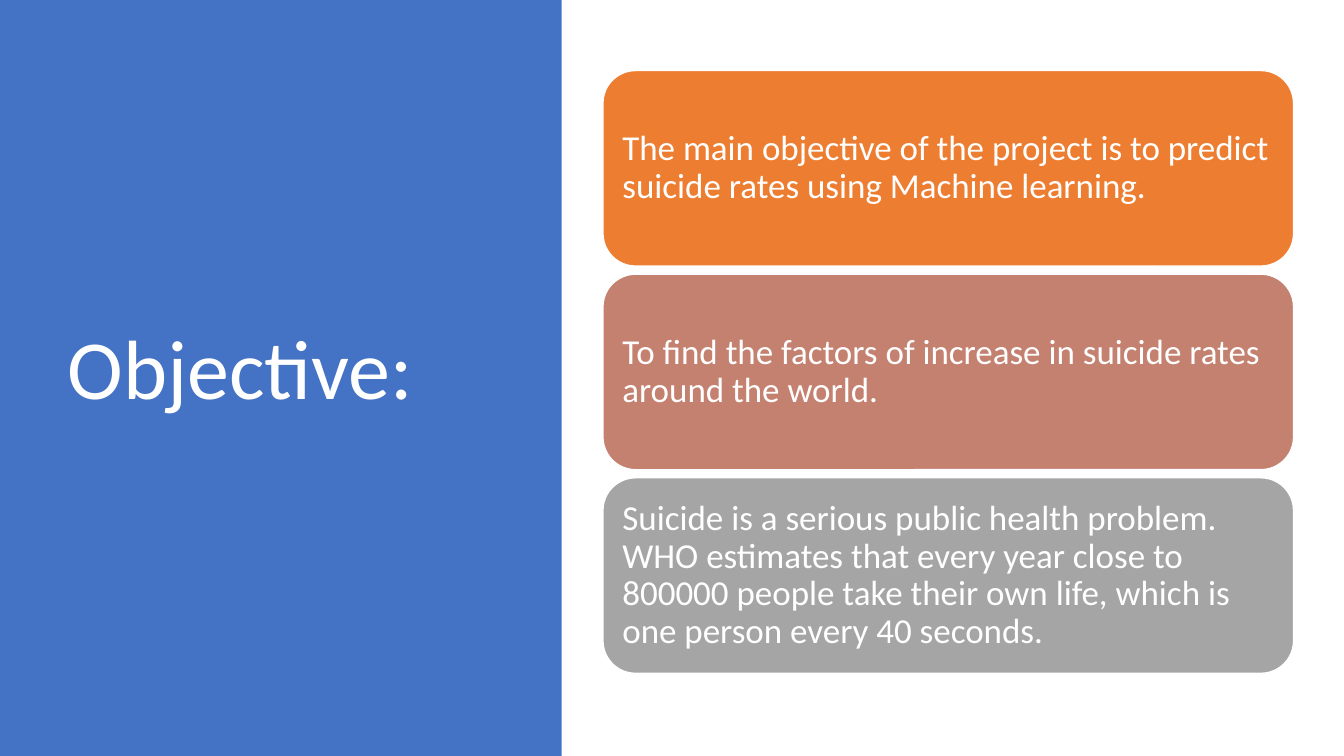
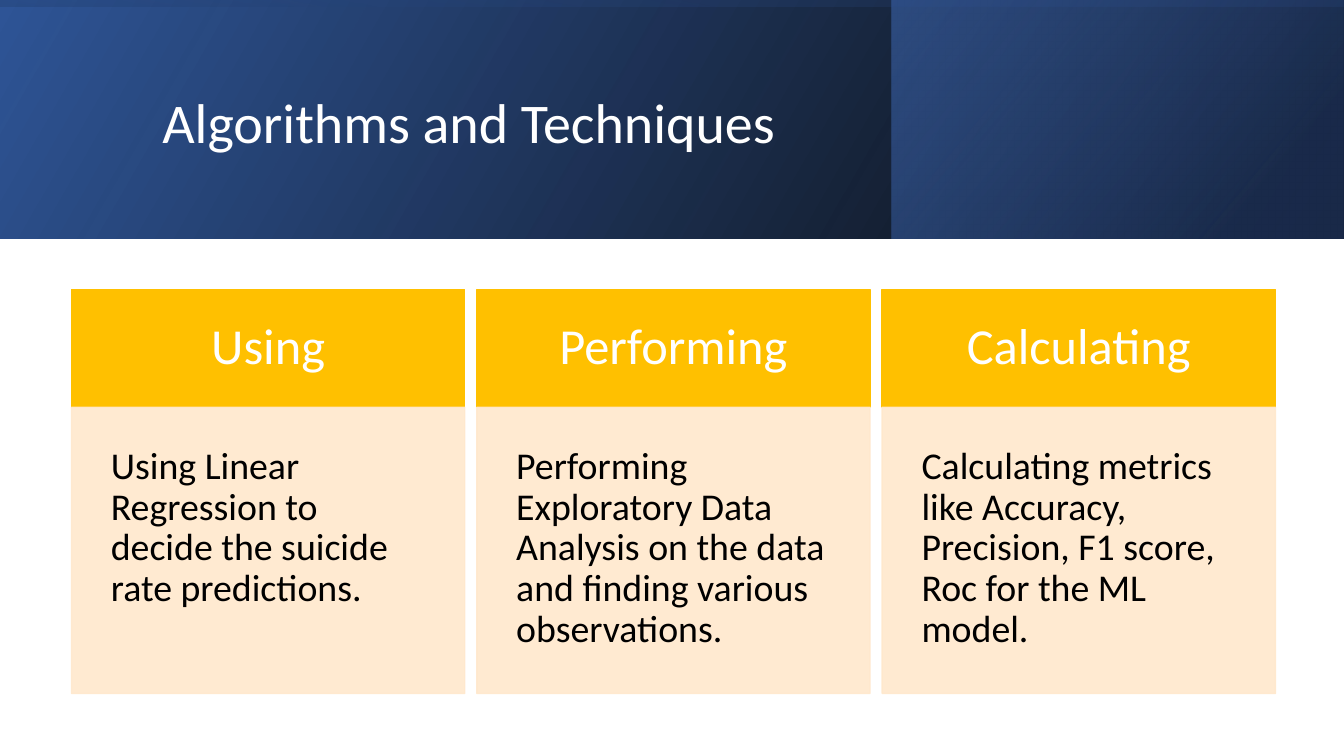
from lxml import etree
from pptx import Presentation
from pptx.dml.color import RGBColor
from pptx.enum.shapes import MSO_SHAPE
from pptx.enum.text import MSO_ANCHOR, MSO_AUTO_SIZE, PP_ALIGN
from pptx.oxml.ns import qn
from pptx.util import Inches, Pt

RECTANGLE, ROUNDED = MSO_SHAPE.RECTANGLE, MSO_SHAPE.ROUNDED_RECTANGLE
LEFT, CENTER = PP_ALIGN.LEFT, PP_ALIGN.CENTER
TOP, MIDDLE = MSO_ANCHOR.TOP, MSO_ANCHOR.MIDDLE
NO_AUTOFIT = MSO_AUTO_SIZE.NONE

# Shared style
FONT = "Calibri"
WHITE, BLACK = "FFFFFF", "000000"
BLUE, DEEP_BLUE, NAVY = "4472C4", "2F5597", "203864"
ORANGE, CLAY, GRAY = "ED7D31", "C48170", "A5A5A5"
GOLD, CREAM = "FFC000", "FFE8CC"
SLIDE_WIDTH, SLIDE_HEIGHT = 13.33, 7.5
BAND_HEIGHT = 2.37
TITLE_ONLY = 5

OBJECTIVES = [
    (ORANGE, "The main objective of the project is to predict suicide rates "
             "using Machine learning."),
    (CLAY, "To find the factors of increase in suicide rates around the world."),
    (GRAY, "Suicide is a serious public health problem. WHO estimates that "
           "every year close to 800000 people take their own life, which is "
           "one person every 40 seconds."),
]
TECHNIQUES = [
    ("Using", "Using Linear Regression to decide the suicide rate predictions."),
    ("Performing", "Performing Exploratory Data Analysis on the data and "
                   "finding various observations."),
    ("Calculating", "Calculating metrics like Accuracy, Precision, F1 score, "
                    "Roc for the ML model."),
]


def color(value):
    return RGBColor.from_string(value)


def write_text(shape, text, size, text_color, align=LEFT, anchor=MIDDLE, inset=0.1):
    frame = shape.text_frame
    frame.word_wrap = True
    frame.auto_size = NO_AUTOFIT
    frame.vertical_anchor = anchor
    frame.margin_left = frame.margin_right = Inches(inset)
    frame.margin_top = frame.margin_bottom = Inches(inset)
    paragraph = frame.paragraphs[0]
    paragraph.alignment = align
    paragraph.line_spacing = 0.9
    run = paragraph.add_run()
    run.text = text
    run.font.name = FONT
    run.font.size = Pt(size)
    run.font.color.rgb = color(text_color)


def add_box(slide, kind, box, fill, line=None):
    shape = slide.shapes.add_shape(kind, *map(Inches, box))
    shape.shadow.inherit = False
    shape.fill.solid()
    shape.fill.fore_color.rgb = color(fill)
    if line:
        shape.line.color.rgb = color(line)
        shape.line.width = Pt(1)
    else:
        shape.line.fill.background()
    return shape


def set_opacity(shape, percent):
    """Apply one opacity to both the fill and the outline."""
    for node in shape._element.spPr.iter(qn("a:srgbClr")):
        etree.SubElement(node, qn("a:alpha"), val=str(percent * 1000))


def add_gradient_layer(slide, box, stops, angle, rotation=0):
    """Add a mirrored rectangle; each stop is position, colour, opacity."""
    shape = add_box(slide, RECTANGLE, box, stops[0][1])
    shape.rotation = rotation
    properties = shape._element.spPr
    properties.find(qn("a:xfrm")).set("flipH", "1")
    gradient = etree.Element(qn("a:gradFill"), rotWithShape="1")
    stop_list = etree.SubElement(gradient, qn("a:gsLst"))
    for position, value, opacity in stops:
        stop = etree.SubElement(stop_list, qn("a:gs"), pos=str(position * 1000))
        node = etree.SubElement(stop, qn("a:srgbClr"), val=value)
        if opacity < 100:
            etree.SubElement(node, qn("a:alpha"), val=str(opacity * 1000))
    etree.SubElement(gradient, qn("a:lin"), ang=str(angle * 60000), scaled="0")
    properties.replace(properties.find(qn("a:solidFill")), gradient)


def place_title(slide, text, box, size):
    """Fill the title placeholder and bring it in front of its backdrop."""
    title = slide.shapes.title
    title.left, title.top, title.width, title.height = map(Inches, box)
    write_text(title, text, size, WHITE)
    slide.shapes._spTree.append(title._element)


def build_objective(slide):
    # Side panel and title
    add_box(slide, RECTANGLE, (0, 0, 5.57, SLIDE_HEIGHT), BLUE)
    place_title(slide, "Objective:", (0.57, 0.68, 4.16, 6.02), 60)

    # Stacked cards
    for row, (fill, text) in enumerate(OBJECTIVES):
        card = add_box(slide, ROUNDED, (5.98, 0.7 + row * 2.02, 6.85, 1.94), fill, WHITE)
        write_text(card, text, 25, WHITE)


def build_techniques(slide):
    # Title band made of three gradient layers
    add_gradient_layer(slide, (0, 0, SLIDE_WIDTH, BAND_HEIGHT),
                       [(0, BLACK, 96), (100, DEEP_BLUE, 100)], 330)
    add_gradient_layer(slide, (8.84, 0, 4.48, BAND_HEIGHT),
                       [(19, NAVY, 68), (100, BLUE, 48)], 320)
    offset = (SLIDE_WIDTH - BAND_HEIGHT) / 2  # a quarter turn lays it on the band
    add_gradient_layer(slide, (offset, -offset, BAND_HEIGHT, SLIDE_WIDTH),
                       [(23, DEEP_BLUE, 16), (99, BLACK, 45)], 350, rotation=270)
    place_title(slide, "Algorithms and Techniques", (1.51, 0.38, 10.63, 1.72), 40)

    # Columns with a heading and a body
    for column, (heading, body) in enumerate(TECHNIQUES):
        left = 0.71 + column * 4.02
        header = add_box(slide, RECTANGLE, (left, 2.87, 3.9, 1.17), GOLD, GOLD)
        write_text(header, heading, 36, WHITE, CENTER, inset=0.31)
        panel = add_box(slide, RECTANGLE, (left, 4.04, 3.9, 2.84), CREAM, CREAM)
        set_opacity(panel, 90)
        write_text(panel, body, 27, BLACK, anchor=TOP, inset=0.39)


def main():
    presentation = Presentation()
    presentation.slide_width = Inches(SLIDE_WIDTH)
    presentation.slide_height = Inches(SLIDE_HEIGHT)
    for build in (build_objective, build_techniques):
        build(presentation.slides.add_slide(presentation.slide_layouts[TITLE_ONLY]))
    presentation.save("out.pptx")


main()
